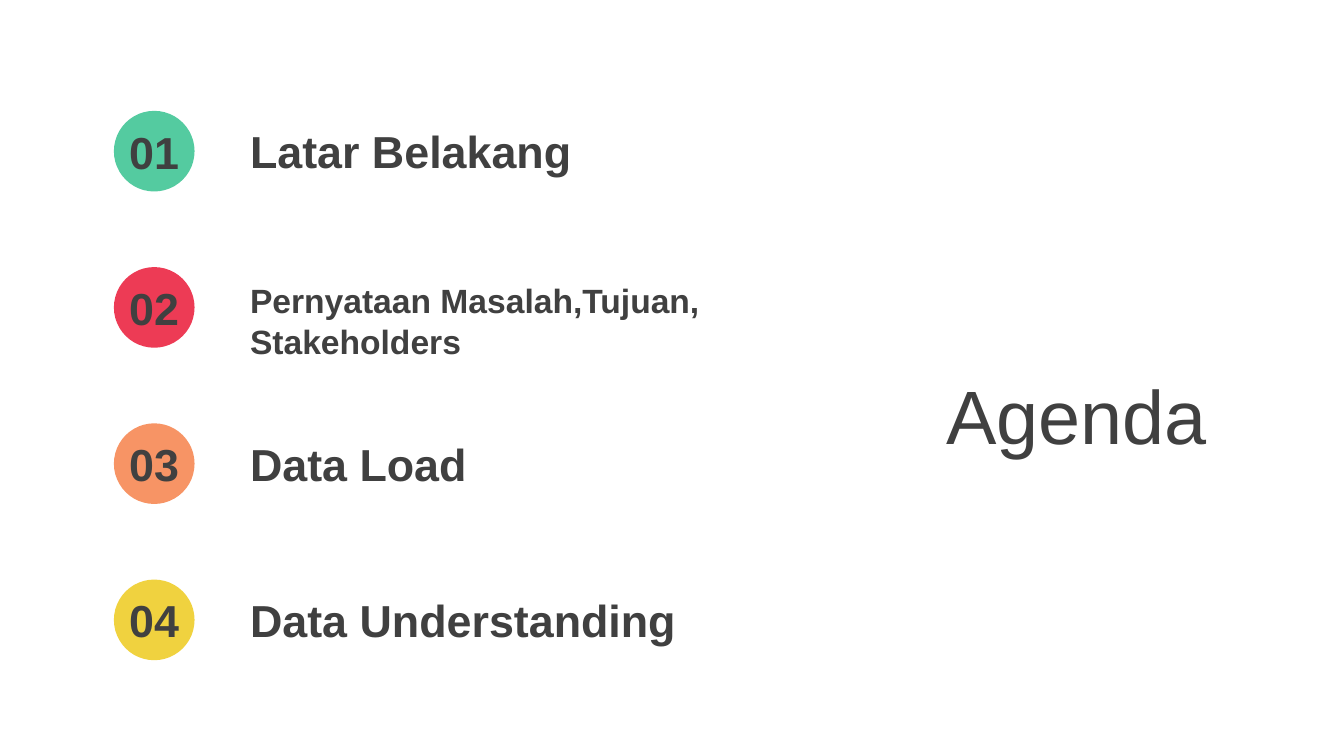
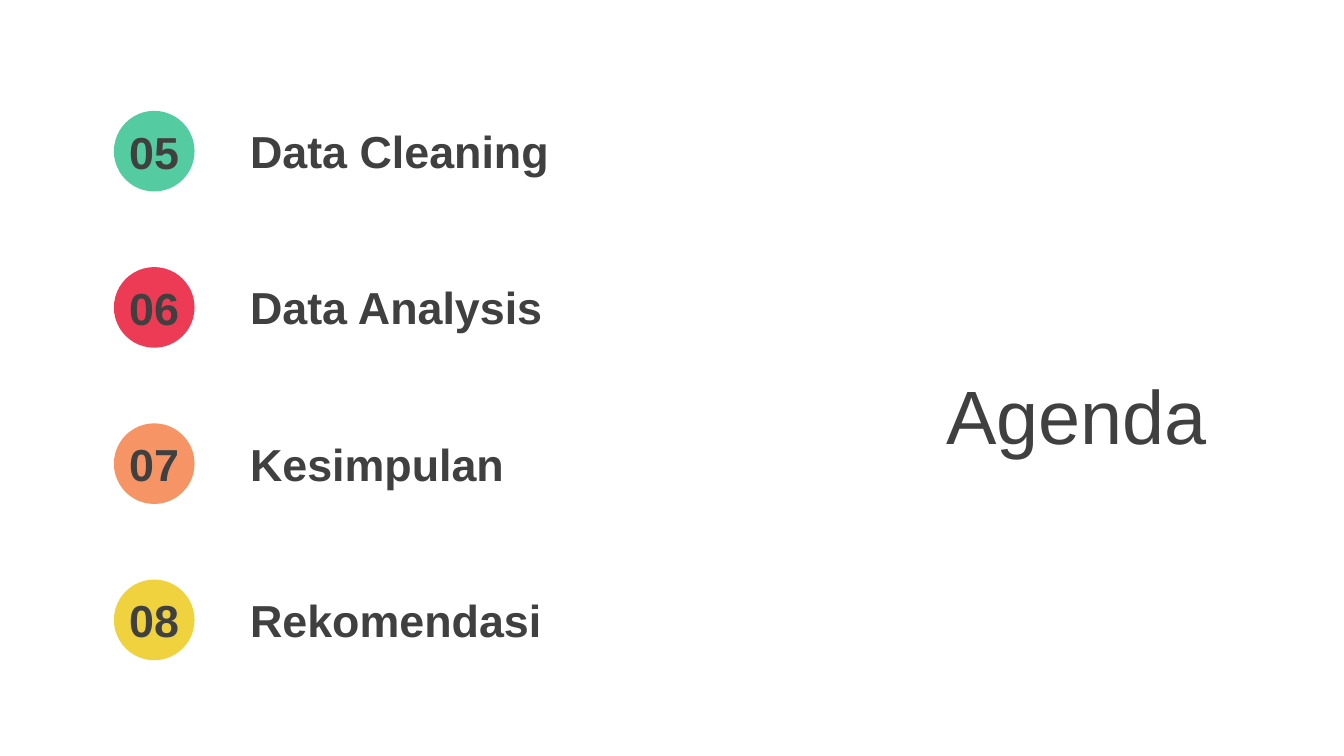
from pptx import Presentation
from pptx.dml.color import RGBColor
from pptx.enum.shapes import MSO_SHAPE
from pptx.enum.text import MSO_ANCHOR, PP_ALIGN
from pptx.util import Inches, Pt

COLOURS = {
    "text": "404040",
    "background": "FFFFFF",
    "green": "54CBA0",
    "red": "ED3B55",
    "orange": "F79465",
    "yellow": "F0D23F",
}
BADGE_COLOURS = ["green", "red", "orange", "yellow"]
FONT = "Arial"
TITLE = "Agenda"
AGENDA = [
    [
        ("Latar Belakang", 32),
        ("Pernyataan Masalah,Tujuan, Stakeholders", 24),
        ("Data Load", 32),
        ("Data Understanding", 32),
    ],
    [
        ("Data Cleaning", 32),
        ("Data Analysis", 32),
        ("Kesimpulan", 32),
        ("Rekomendasi", 32),
    ],
]

FIRST_TOP, ROW_STEP = 1.1, 1.55
BADGE_LEFT, BADGE_SIZE = 1.13, 0.8
LABEL_LEFT, LABEL_WIDTH, LABEL_HEIGHT = 2.36, 5.06, 0.64


def colour(name):
    return RGBColor.from_string(COLOURS[name])


def write(frame, text, size, bold=True, align=PP_ALIGN.LEFT):
    frame.text = text
    para = frame.paragraphs[0]
    para.alignment = align
    para.font.name = FONT
    para.font.size = Pt(size)
    para.font.bold = bold
    para.font.color.rgb = colour("text")


def set_margins(frame, side, end):
    frame.margin_left = frame.margin_right = Inches(side)
    frame.margin_top = frame.margin_bottom = Inches(end)


def add_badge(page, top, number, fill):
    badge = page.shapes.add_shape(
        MSO_SHAPE.OVAL, Inches(BADGE_LEFT), Inches(top),
        Inches(BADGE_SIZE), Inches(BADGE_SIZE))
    badge.shadow.inherit = False
    badge.fill.solid()
    badge.fill.fore_color.rgb = colour(fill)
    badge.line.fill.background()
    frame = badge.text_frame
    frame.word_wrap = False
    frame.vertical_anchor = MSO_ANCHOR.MIDDLE
    set_margins(frame, 0, 0)
    write(frame, f"{number:02d}", 32, align=PP_ALIGN.CENTER)


def add_label(page, top, text, size):
    box = page.shapes.add_textbox(
        Inches(LABEL_LEFT), Inches(top), Inches(LABEL_WIDTH), Inches(LABEL_HEIGHT))
    box.text_frame.word_wrap = True
    set_margins(box.text_frame, 0.12, 0.05)
    write(box.text_frame, text, size)


def set_title(page):
    title = page.shapes.title
    title.left, title.top = Inches(7.73), Inches(3.61)
    title.width, title.height = Inches(4.34), Inches(1.01)
    title.text_frame.vertical_anchor = MSO_ANCHOR.MIDDLE
    write(title.text_frame, TITLE, 54, bold=False, align=PP_ALIGN.RIGHT)


def main():
    deck = Presentation()
    deck.slide_width, deck.slide_height = Inches(13.33), Inches(7.5)
    background = deck.slide_master.background.fill
    background.solid()
    background.fore_color.rgb = colour("background")

    number = 0
    for topics in AGENDA:
        page = deck.slides.add_slide(deck.slide_layouts[5])
        set_title(page)
        for row, ((text, size), fill) in enumerate(zip(topics, BADGE_COLOURS)):
            number += 1
            top = FIRST_TOP + row * ROW_STEP
            add_badge(page, top, number, fill)
            add_label(page, top + (BADGE_SIZE - LABEL_HEIGHT) / 2, text, size)
    deck.save("out.pptx")


if __name__ == "__main__":
    main()
